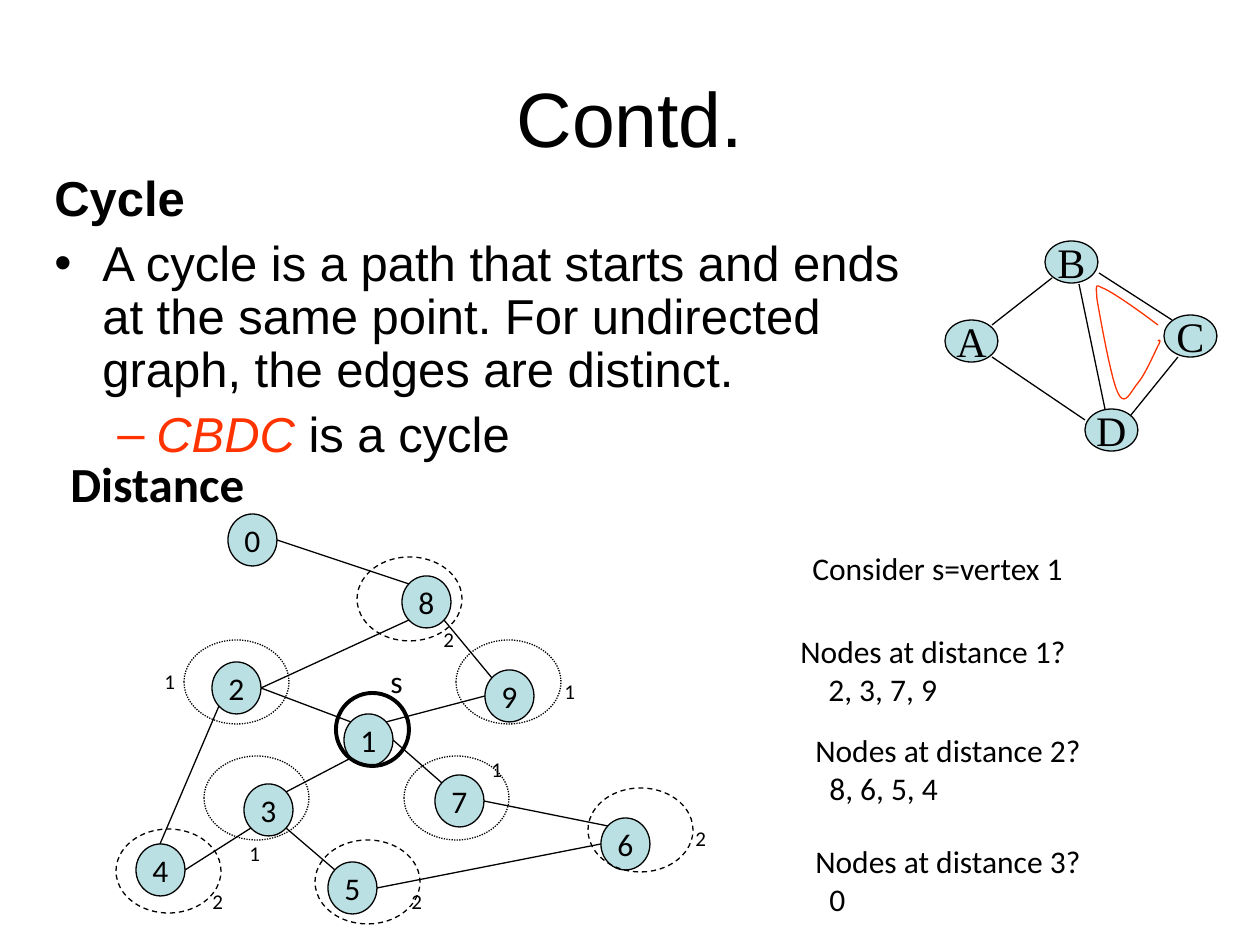
"""Build the slide on cycles and distances in a graph."""
from math import cos, radians, sin

from lxml.etree import SubElement
from pptx import Presentation
from pptx.dml.color import RGBColor
from pptx.enum.dml import MSO_LINE
from pptx.enum.shapes import MSO_CONNECTOR, MSO_SHAPE
from pptx.enum.text import MSO_ANCHOR, PP_ALIGN
from pptx.oxml.ns import qn
from pptx.util import Emu, Pt

BLACK = RGBColor(0x00, 0x00, 0x00)
RED = RGBColor(0xFF, 0x33, 0x00)
NODE_FILL = RGBColor(0xBB, 0xE0, 0xE3)
EMU_PER_PX = 914400 / 126

EAST, SOUTH_EAST, SOUTH_WEST, WEST = 0, 45, 135, 180
NORTH_WEST, NORTH, NORTH_EAST = 225, 270, 315

NODE_SIZE = (49, 52)
NODES = {
    "2": (212, 662), "4": (136, 844), "3": (244, 784), "5": (328, 862), "1": (344, 714),
    "7": (435, 775), "6": (601, 818), "9": (485, 670), "8": (402, 576), "0": (228, 514),
}
EDGES = [
    ("0", EAST, "8", NORTH_WEST), ("8", SOUTH_EAST, "9", NORTH_WEST),
    ("9", WEST, "1", NORTH_EAST), ("8", SOUTH_WEST, "2", EAST),
    ("2", EAST, "1", NORTH_WEST), ("2", SOUTH_WEST, "4", NORTH),
    ("4", EAST, "3", SOUTH_WEST), ("3", NORTH_EAST, "1", SOUTH_WEST),
    ("3", SOUTH_EAST, "5", NORTH_WEST), ("5", EAST, "6", WEST),
    ("1", EAST, "7", NORTH_WEST), ("7", EAST, "6", NORTH_WEST),
]
DISTANCES = [
    ("1", MSO_LINE.ROUND_DOT, [(184, 640), (204, 756), (404, 756), (456, 640)],
     [(552, 672), (479, 750), (152, 662), (237, 834)]),
    ("2", MSO_LINE.DASH, [(357, 557), (116, 829), (315, 840), (588, 788)],
     [(683, 819), (399, 882), (200, 882), (431, 620)]),
]
QUESTIONS = [
    ("Nodes at distance 1?", "2, 3, 7, 9", (788, 626, 321, 88), 28),
    ("Nodes at distance 2?", "8, 6, 5, 4", (803, 725, 291, 88), 14),
    ("Nodes at distance 3?", "0", (803, 836, 291, 88), 14),
]
LETTERS = {"B": (1045, 241), "C": (1164, 315), "D": (1085, 409), "A": (945, 320)}
LETTER_EDGES = [
    ((1052, 278), (992, 325)), ((992, 357), (1085, 420)), ((1131, 415), (1178, 357)),
    ((1079, 284), (1105, 409)), ((1099, 273), (1172, 320)),
]
CYCLE_CURVE = [
    (1158, 325), (1137, 309), (1115, 294), (1105, 289), (1095, 285), (1096, 282), (1097, 299),
    (1100, 316), (1111, 379), (1118, 393), (1125, 408), (1131, 391), (1138, 383),
    (1145, 375), (1154, 354), (1158, 346), (1162, 339), (1159, 340), (1158, 341),
]

def px(length):
    return Emu(round(length * EMU_PER_PX))

def write(paragraph, text, size=18, font="Calibri", color=BLACK, bold=False, italic=False):
    run = paragraph.add_run()
    run.text = text
    run.font.size = Pt(size)
    run.font.name = font
    run.font.color.rgb = color
    run.font.bold = bold
    run.font.italic = italic

def indent(paragraph, left, hanging=0):
    properties = paragraph._p.get_or_add_pPr()
    properties.set("marL", str(px(left)))
    properties.set("indent", str(-px(hanging)))

def add_bullet(paragraph, character, color):
    properties = paragraph._p.get_or_add_pPr()
    SubElement(SubElement(properties, qn("a:buClr")), qn("a:srgbClr")).set("val", str(color))
    SubElement(properties, qn("a:buFont")).set("typeface", "Arial")
    SubElement(properties, qn("a:buChar")).set("char", character)

def rim_point(node, angle):
    (left, top), (width, height) = NODES[node], NODE_SIZE
    return (round(left + width / 2 * (1 + cos(radians(angle)))),
            round(top + height / 2 * (1 + sin(radians(angle)))))

def bezier_points(controls, steps=10):
    for start in range(0, len(controls) - 1, 3):
        for step in range(1, steps + 1):
            t = step / steps
            u = 1 - t
            yield tuple(px(u**3 * a + 3 * u * u * t * b + 3 * u * t * t * c + t**3 * d)
                        for a, b, c, d in zip(*controls[start:start + 4]))

class GraphSlide:
    def __init__(self, slide):
        self.slide = slide
        self.line_width = Pt(0.75)

    def text_box(self, *box, wrap=False):
        frame = self.slide.shapes.add_textbox(*map(px, box)).text_frame
        frame.word_wrap = wrap
        return frame

    def label(self, text, *box, **style):
        write(self.text_box(*box).paragraphs[0], text, **style)

    def outline(self, shape, color, line_width=None):
        shape.shadow.inherit = False
        shape.fill.background()
        shape.line.color.rgb = color
        shape.line.width = line_width or self.line_width

    def ellipse(self, *box, dash=None, line_width=None):
        shape = self.slide.shapes.add_shape(MSO_SHAPE.OVAL, *map(px, box))
        self.outline(shape, BLACK, line_width)
        if dash:
            shape.line.dash_style = dash
        return shape

    def centered(self, frame, text, **style):
        frame.vertical_anchor = MSO_ANCHOR.MIDDLE
        frame.paragraphs[0].alignment = PP_ALIGN.CENTER
        write(frame.paragraphs[0], text, **style)

    def node(self, text, *box, **style):
        shape = self.ellipse(*box)
        shape.fill.solid()
        shape.fill.fore_color.rgb = NODE_FILL
        shape.text_frame.word_wrap = False
        self.centered(shape.text_frame, text, **style)

    def edge(self, start, end):
        connector = self.slide.shapes.add_connector(
            MSO_CONNECTOR.STRAIGHT, *map(px, start + end))
        connector.line.color.rgb = BLACK
        connector.line.width = self.line_width
        SubElement(connector._element.spPr, qn("a:effectLst"))

    def curve(self, controls, color):
        builder = self.slide.shapes.build_freeform(*map(px, controls[0]))
        builder.add_line_segments(list(bezier_points(controls)), close=False)
        self.outline(builder.convert_to_shape(), color)

    def definition(self):
        frame = self.text_box(42, 168, 892, 273, wrap=True)
        heading, meaning, example = (
            frame.paragraphs[0], frame.add_paragraph(), frame.add_paragraph())
        style = {"size": 28, "font": "Arial"}
        indent(heading, 48, 48)
        indent(meaning, 48, 48)
        indent(example, 102, 39)
        example.level = 1
        add_bullet(meaning, "•", BLACK)
        add_bullet(example, "–", RED)
        write(heading, "Cycle", bold=True, **style)
        write(meaning, "A cycle is a path that starts and ends at the same point. "
              "For undirected graph, the edges are distinct.", **style)
        write(example, "CBDC", color=RED, italic=True, **style)
        write(example, " is a cycle", **style)
        for paragraph in frame.paragraphs:
            paragraph.line_spacing = 0.9
        meaning.space_before = example.space_before = Pt(7)

    def question(self, text, answer, box, answer_indent):
        frame = self.text_box(*box, wrap=True)
        write(frame.paragraphs[0], text)
        paragraph = frame.add_paragraph()
        indent(paragraph, answer_indent)
        write(paragraph, answer)

def main():
    presentation = Presentation()
    presentation.slide_width, presentation.slide_height = px(1260), px(945)
    graph = GraphSlide(presentation.slides.add_slide(presentation.slide_layouts[6]))
    title_frame = graph.text_box(63, 38, 1134, 158, wrap=True)
    graph.centered(title_frame, "Contd.", size=44, font="Arial")
    for name, position in NODES.items():
        graph.node(name, *position, *NODE_SIZE)
    for start, start_angle, end, end_angle in EDGES:
        graph.edge(rim_point(start, start_angle), rim_point(end, end_angle))
    for distance, dash, rings, labels in DISTANCES:
        for position in rings:
            graph.ellipse(*position, 105, 84, dash=dash)
        for position in labels:
            graph.label(distance, *position, 35, 38, size=12)
    graph.ellipse(336, 693, 73, 73, line_width=Pt(2.25))
    graph.label("s", 378, 656, 38, 50)
    graph.label("Distance", 58, 447, 213, 75, size=28, bold=True)
    graph.label("Consider s=vertex 1", 800, 543, 276, 50)
    for question in QUESTIONS:
        graph.question(*question)
    graph.definition()
    for name, position in LETTERS.items():
        graph.node(name, *position, 53, 42, size=24, font="Times New Roman")
    for start, end in LETTER_EDGES:
        graph.edge(start, end)
    graph.curve(CYCLE_CURVE, RED)
    presentation.save("out.pptx")

if __name__ == "__main__":
    main()
